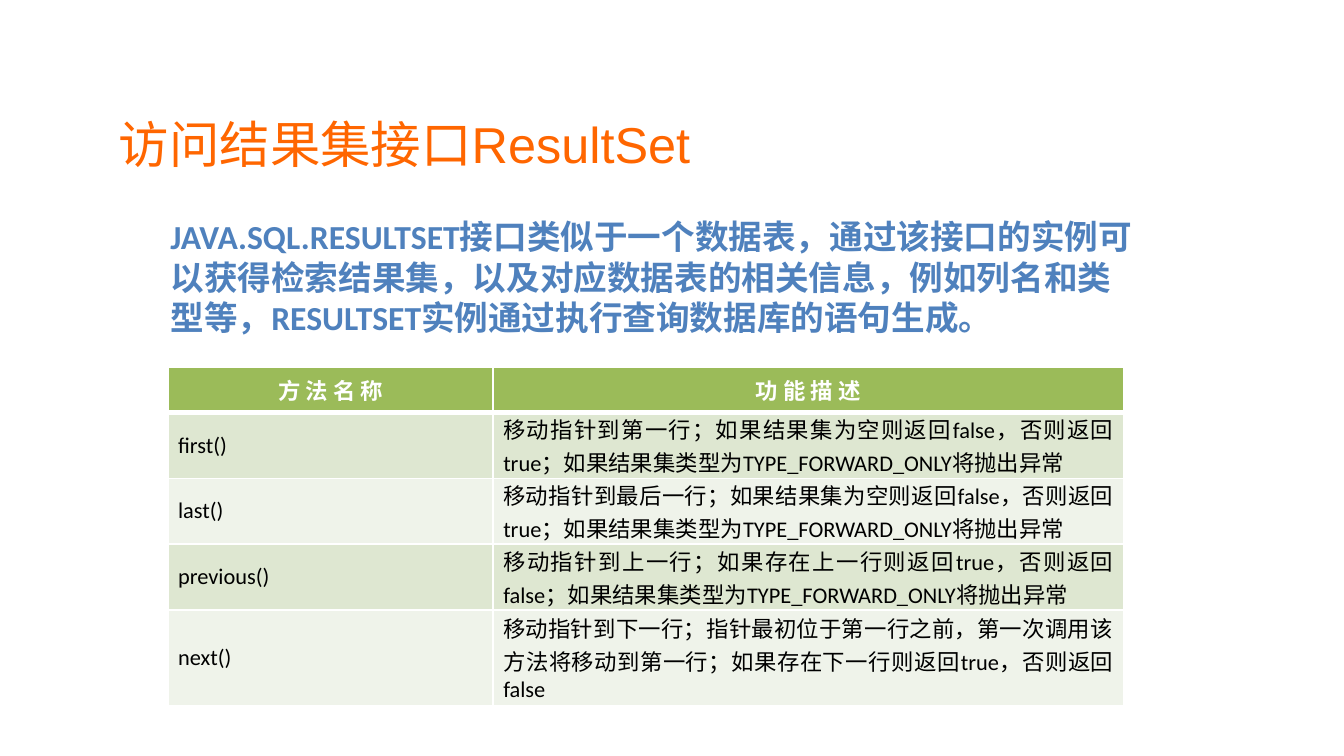
from lxml import etree
from pptx import Presentation
from pptx.dml.color import RGBColor
from pptx.enum.text import MSO_ANCHOR, PP_ALIGN
from pptx.oxml.ns import qn
from pptx.util import Inches, Pt

MIDDLE, TOP = MSO_ANCHOR.MIDDLE, MSO_ANCHOR.TOP
LEFT, CENTER, JUSTIFY = PP_ALIGN.LEFT, PP_ALIGN.CENTER, PP_ALIGN.JUSTIFY

ORANGE = RGBColor(0xFF, 0x66, 0x00)
BLUE = RGBColor(0x4F, 0x81, 0xBD)
GREEN = RGBColor(0x9B, 0xBB, 0x59)
GREEN_BAND = RGBColor(0xDE, 0xE7, 0xD1)
PALE_BAND = RGBColor(0xEF, 0xF3, 0xEA)
WHITE = RGBColor(0xFF, 0xFF, 0xFF)
BLACK = RGBColor(0x00, 0x00, 0x00)

SIDE_MARGIN = Pt(5.4)
COLUMN_WIDTHS = (2.42, 4.69)
ROW_HEIGHTS = (0.34, 0.49, 0.49, 0.49, 0.71)

TITLE = "访问结果集接口ResultSet"
INTRO = (
    "JAVA.SQL.RESULTSET接口类似于一个数据表，通过该接口的实例可以获得检索结果集，"
    "以及对应数据表的相关信息，例如列名和类型等，RESULTSET实例通过执行查询数据库的语句生成。"
)
METHODS = [
    ("方 法 名 称", "功 能 描 述"),
    ("first()", "移动指针到第一行；如果结果集为空则返回false，否则返回true；"
                "如果结果集类型为TYPE_FORWARD_ONLY将抛出异常"),
    ("last()", "移动指针到最后一行；如果结果集为空则返回false，否则返回true；"
               "如果结果集类型为TYPE_FORWARD_ONLY将抛出异常"),
    ("previous()", "移动指针到上一行；如果存在上一行则返回true，否则返回false；"
                   "如果结果集类型为TYPE_FORWARD_ONLY将抛出异常"),
    ("next()", "移动指针到下一行；指针最初位于第一行之前，第一次调用该方法将移动到第一行；"
               "如果存在下一行则返回true，否则返回false"),
]


def write_text(tf, text, *, size, color, font="Calibri", bold=False, align=LEFT, after=0):
    """Write one formatted paragraph into a text frame."""
    tf.word_wrap = True
    p = tf.paragraphs[0]
    p.alignment = align
    p.space_after = Pt(after)
    r = p.add_run()
    r.text = text
    r.font.name = font
    r.font.size = Pt(size)
    r.font.bold = bold
    r.font.color.rgb = color


def add_text(slide, box, text, *, anchor=TOP, margins=(Inches(0.1), Inches(0.05)), **style):
    """Place a text box with the given margins and text style."""
    tf = slide.shapes.add_textbox(*map(Inches, box)).text_frame
    tf.margin_left = tf.margin_right = margins[0]
    tf.margin_top = tf.margin_bottom = margins[1]
    tf.vertical_anchor = anchor
    write_text(tf, text, **style)


def set_borders(cell, widths):
    """Draw white cell borders, with widths in points by side."""
    tc_pr = cell._tc.get_or_add_tcPr()
    for side, width in widths.items():
        ln = etree.SubElement(tc_pr, qn(f"a:ln{side}"), w=str(Pt(width)))
        fill = etree.SubElement(ln, qn("a:solidFill"))
        etree.SubElement(fill, qn("a:srgbClr"), val=str(WHITE))


def add_method_table(slide, left, top, rows):
    """Place the banded table of methods under a green header row."""
    table = slide.shapes.add_table(
        len(rows), len(COLUMN_WIDTHS), Inches(left), Inches(top),
        Inches(sum(COLUMN_WIDTHS)), Inches(sum(ROW_HEIGHTS))).table
    for column, width in zip(table.columns, COLUMN_WIDTHS):
        column.width = Inches(width)
    for i, row in enumerate(rows):
        table.rows[i].height = Inches(ROW_HEIGHTS[i])
        header = i == 0
        fill = GREEN if header else (PALE_BAND, GREEN_BAND)[i % 2]
        for j, text in enumerate(row):
            cell = table.cell(i, j)
            set_borders(cell, {"L": 1, "R": 1, "T": 3 if i == 1 else 1, "B": 3 if header else 1})
            cell.fill.solid()
            cell.fill.fore_color.rgb = fill
            cell.vertical_anchor = MIDDLE
            cell.margin_left = cell.margin_right = SIDE_MARGIN
            cell.margin_top = cell.margin_bottom = 0
            write_text(cell.text_frame, text, size=12, color=WHITE if header else BLACK,
                       bold=header, align=CENTER if header else JUSTIFY, after=1.2)


def main():
    """Build and save the slide."""
    prs = Presentation()
    prs.slide_width = Inches(10)
    prs.slide_height = prs.slide_width * 9 // 16
    slide = prs.slides.add_slide(prs.slide_layouts[6])
    add_text(slide, (0.81, 0.68, 7.94, 0.77), TITLE, anchor=MIDDLE,
             margins=(SIDE_MARGIN, Pt(2.7)), size=27, color=ORANGE, font="Arial")
    add_method_table(slide, 1.25, 2.73, METHODS)
    add_text(slide, (1.17, 1.56, 7.42, 1.01), INTRO, size=18, color=BLUE, bold=True)
    prs.save("out.pptx")


if __name__ == "__main__":
    main()
